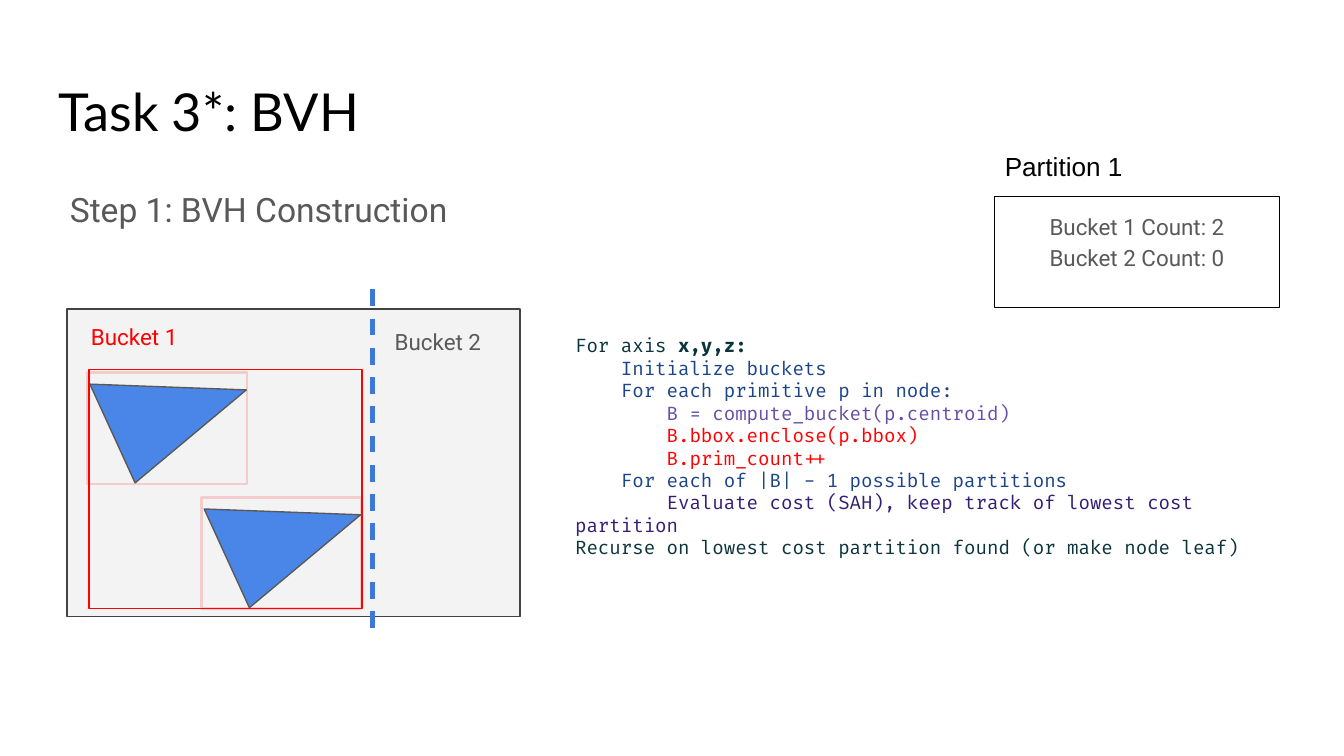
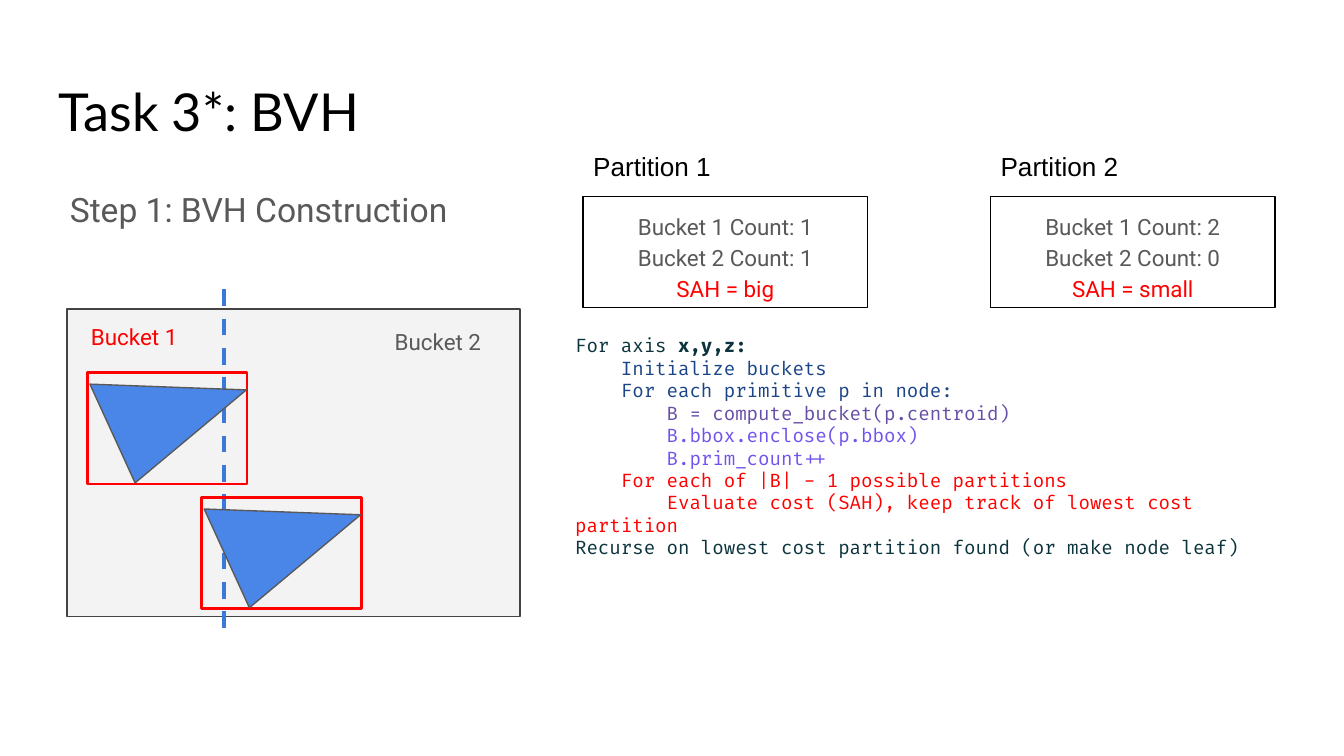
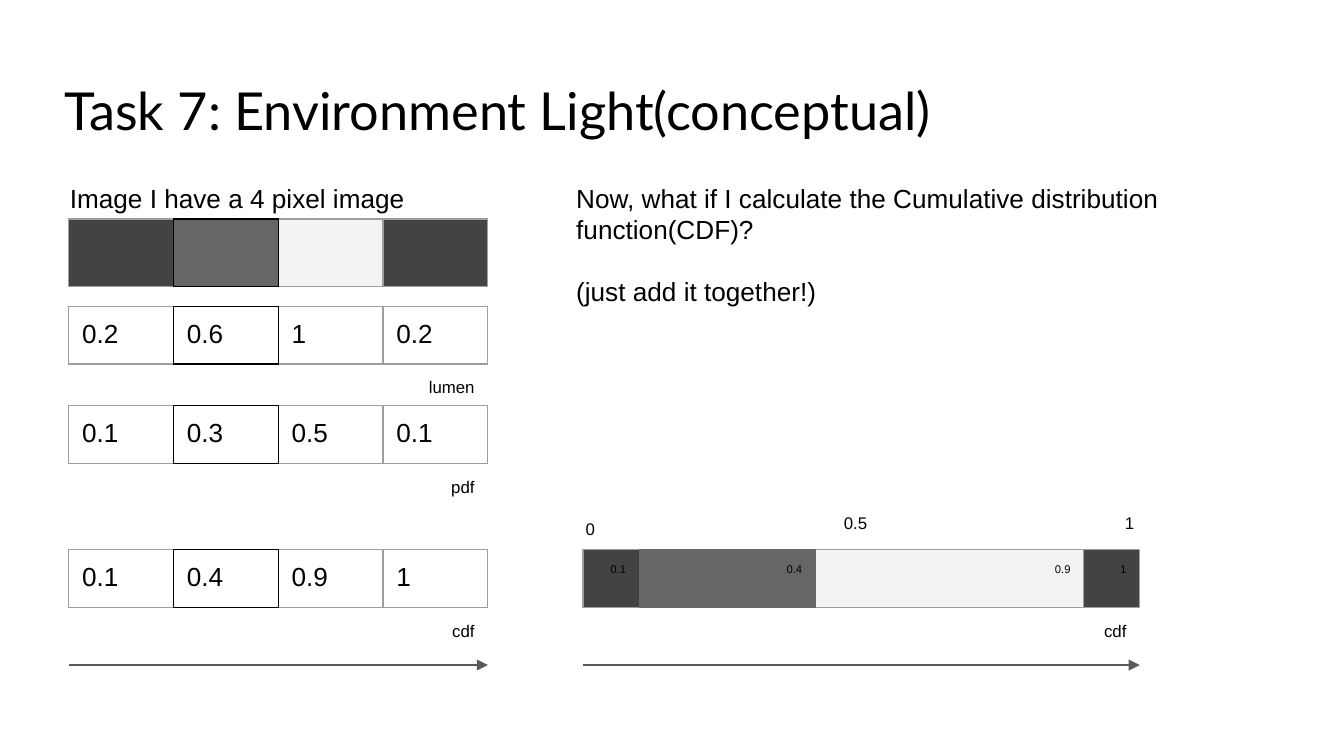
"""Build three lecture slides on BVH construction and environment light sampling."""
from lxml import etree
from pptx import Presentation
from pptx.dml.color import RGBColor
from pptx.enum.dml import MSO_LINE
from pptx.enum.shapes import MSO_CONNECTOR, MSO_SHAPE
from pptx.enum.text import MSO_ANCHOR, MSO_AUTO_SIZE, PP_ALIGN
from pptx.oxml.ns import qn
from pptx.util import Cm, Pt

DASH = MSO_LINE.DASH
STRAIGHT = MSO_CONNECTOR.STRAIGHT
RECTANGLE, TRIANGLE = MSO_SHAPE.RECTANGLE, MSO_SHAPE.ISOSCELES_TRIANGLE
TOP = MSO_ANCHOR.TOP
NO_AUTOFIT = MSO_AUTO_SIZE.NONE
LEFT, CENTER, RIGHT = PP_ALIGN.LEFT, PP_ALIGN.CENTER, PP_ALIGN.RIGHT

COLORS = {
    "black": "000000", "white": "FFFFFF", "text": "595959", "red": "FF0000",
    "pink": "F4CCCC", "dark": "434343", "middle": "666666", "light": "F3F3F3",
    "grid": "9E9E9E", "triangle": "4A86E8", "divider": "3C78D8",
    "code": "0C343D", "loop": "1C4587", "bucket": "674EA7",
    "update": "7253ED", "cost": "351C75",
}
CODE_LINES = [
    ("For axis ", "code"),
    ("    Initialize buckets", "loop"),
    ("    For each primitive p in node:", "loop"),
    ("        B = compute_bucket(p.centroid)", "bucket"),
    ("        B.bbox.enclose(p.bbox)", "update"),
    ("        B.prim_count++", "update"),
    ("    For each of |B| - 1 possible partitions", "loop"),
    ("        Evaluate cost (SAH), keep track of lowest cost partition", "cost"),
    ("Recurse on lowest cost partition found (or make node leaf)", "code"),
]
PIXEL_FILLS = ["dark", "middle", "light", "dark"]
INSET = Cm(0.25)
ROW_HEIGHT = 1.09
TABLE_LEFT = 1.3
CDF_TOP = 10.39
ARROW_TOP = 12.57


def color(name):
    """Return the named colour."""
    return RGBColor.from_string(COLORS[name])


def style_font(font, size, family, color_name):
    """Set the size, family and colour of a font."""
    font.size = Pt(size)
    font.name = family
    font.color.rgb = color(color_name)


def set_margins(box):
    """Give a text frame or a table cell the shared insets."""
    box.margin_left = box.margin_right = INSET
    box.margin_top = box.margin_bottom = INSET


def fill_text(text_frame, lines, size, family="Arial", color_name="black",
              align=LEFT, spacing=1.0):
    """Write lines into a text frame with one common format."""
    text_frame.word_wrap = True
    text_frame.auto_size = NO_AUTOFIT
    text_frame.vertical_anchor = TOP
    set_margins(text_frame)
    text_frame.text = "\n".join(lines)
    for paragraph in text_frame.paragraphs:
        paragraph.alignment = align
        paragraph.line_spacing = spacing
        paragraph.space_before = Pt(0)
        for run in paragraph.runs:
            style_font(run.font, size, family, color_name)


def place(shape, left, top, width, height):
    """Move and size a shape in centimetres."""
    shape.left, shape.top = Cm(left), Cm(top)
    shape.width, shape.height = Cm(width), Cm(height)


def add_text(slide, lines, left, top, width, height, size, **text_format):
    """Add a text box and return its text frame."""
    box = slide.shapes.add_textbox(Cm(left), Cm(top), Cm(width), Cm(height))
    fill_text(box.text_frame, lines, size, **text_format)
    return box.text_frame


def set_title(slide, text, left, top, width):
    """Fill the title placeholder."""
    place(slide.shapes.title, left, top, width, 1.6)
    fill_text(slide.shapes.title.text_frame, [text], 28, "Lato")


def set_subtitle(slide, text):
    """Fill the body placeholder with one line without a bullet."""
    body = slide.placeholders[1]
    place(body, 1.07, 3.2, 10.49, 1.6)
    fill_text(body.text_frame, [text], 18, "Roboto", "text", spacing=1.15)
    properties = body.text_frame.paragraphs[0]._p.get_or_add_pPr()
    properties.set("marL", "0")
    properties.set("indent", "0")
    etree.SubElement(properties, qn("a:buNone"))


def add_shape(slide, kind, left, top, width, height, line, weight=0.75, fill=None):
    """Add an outlined shape, filled when a colour is given."""
    shape = slide.shapes.add_shape(kind, Cm(left), Cm(top), Cm(width), Cm(height))
    shape.shadow.inherit = False
    shape.line.color.rgb = color(line)
    shape.line.width = Pt(weight)
    if fill:
        shape.fill.solid()
        shape.fill.fore_color.rgb = color(fill)
    else:
        shape.fill.background()
    return shape


def add_line(slide, start, end, color_name, weight):
    """Add a straight line without a shadow."""
    line = slide.shapes.add_connector(STRAIGHT, *map(Cm, start + end))
    line.line.color.rgb = color(color_name)
    line.line.width = Pt(weight)
    etree.SubElement(line._element.spPr, qn("a:effectLst"))
    return line


def add_arrow(slide, left, right):
    """Add a horizontal arrow below a table."""
    arrow = add_line(slide, (left, ARROW_TOP), (right, ARROW_TOP), "text", 0.75)
    outline = arrow._element.spPr.find(qn("a:ln"))
    etree.SubElement(outline, qn("a:tailEnd"), type="triangle")


def add_code(slide, highlighted):
    """Add the pseudocode with the highlighted lines in red."""
    frame = add_text(slide, [text for text, _ in CODE_LINES],
                     10.62, 6.07, 14.27, 4.65, 10, family="Fira Code")
    for index, (_, name) in enumerate(CODE_LINES):
        run = frame.paragraphs[index].runs[0]
        run.font.color.rgb = color("red" if index in highlighted else name)
    axes = frame.paragraphs[0].add_run()
    axes.text = "x,y,z:"
    style_font(axes.font, 10, "Fira Code", "code")
    axes.font.bold = True


def add_primitive(slide, left, top, outline):
    """Add a triangle inside its bounding box."""
    add_shape(slide, RECTANGLE, left, top, 3.02, 2.11, outline, 1.5)
    triangle = add_shape(slide, TRIANGLE, left - 0.05, top - 0.54, 2.74, 1.98,
                         "text", fill="triangle")
    triangle.adjustments[0] = 0.198
    triangle.rotation = 320.1


def add_node(slide, divider_left, outline):
    """Add the node with its divider, primitives and bucket labels."""
    add_shape(slide, RECTANGLE, 1.27, 5.84, 8.56, 5.82, "dark", fill="light")
    divider = add_line(slide, (divider_left, 5.47), (divider_left, 12.07), "divider", 2.25)
    divider.line.dash_style = DASH
    for left, top in ((1.65, 7.04), (3.81, 9.4)):
        add_primitive(slide, left, top, outline)
    for text, left, top, name in (("Bucket 1", 1.47, 5.79, "red"),
                                  ("Bucket 2", 7.21, 5.87, "text")):
        add_text(slide, [text], left, top, 2.39, 0.97, 12,
                 family="Roboto", color_name=name, spacing=1.15)


def add_partition(slide, number, left, counts, cost=None):
    """Add a partition box with its bucket counts and optional cost."""
    add_text(slide, [f"Partition {number}"], left - 0.06, 2.59, 4.42, 1.12, 14)
    box = add_shape(slide, RECTANGLE, left, 3.71, 5.38, 2.11, "black")
    lines = [f"Bucket {bucket} Count: {count}" for bucket, count in enumerate(counts, 1)]
    if cost:
        lines.append(f"SAH = {cost}")
    fill_text(box.text_frame, lines, 12, "Roboto", "text", CENTER, 1.15)
    if cost:
        box.text_frame.paragraphs[-1].runs[0].font.color.rgb = color("red")


def set_borders(cell, column, accent):
    """Draw cell borders, with the accent colour around the second column."""
    accented = {"L": (1, 2), "R": (0, 1), "T": (1,), "B": (1,)}
    for side, columns in accented.items():
        name = accent if column in columns else "grid"
        border = etree.SubElement(cell._tc.get_or_add_tcPr(), qn(f"a:ln{side}"), w="9525")
        fill = etree.SubElement(border, qn("a:solidFill"))
        etree.SubElement(fill, qn("a:srgbClr"), val=COLORS[name])


def add_row_table(slide, left, top, widths, values, fills, accent="black",
                  size=14, align=LEFT):
    """Add a table of one row."""
    frame = slide.shapes.add_table(1, len(widths), Cm(left), Cm(top),
                                   Cm(sum(widths)), Cm(ROW_HEIGHT))
    table = frame.table
    table.first_row = table.horz_banding = False
    table.rows[0].height = Cm(ROW_HEIGHT)
    for column, width in enumerate(widths):
        table.columns[column].width = Cm(width)
        cell = table.cell(0, column)
        set_margins(cell)
        set_borders(cell, column, accent)
        cell.fill.solid()
        cell.fill.fore_color.rgb = color(fills[column])
        if values:
            cell.text_frame.text = values[column]
            paragraph = cell.text_frame.paragraphs[0]
            paragraph.alignment = align
            style_font(paragraph.runs[0].font, size, "Arial", "black")


def add_caption(slide, text, right, table_top):
    """Add a right-aligned caption below a table."""
    add_text(slide, [text], right - 2.13, table_top + ROW_HEIGHT, 2.13, 0.89, 9, align=RIGHT)


def add_bvh_slide(presentation, highlighted, divider_left, outline):
    """Add a BVH construction slide and return it."""
    slide = presentation.slides.add_slide(presentation.slide_layouts[1])
    set_title(slide, "Task 3*: BVH", 0.86, 1.24, 8.56)
    set_subtitle(slide, "Step 1: BVH Construction")
    add_code(slide, highlighted)
    add_node(slide, divider_left, outline)
    return slide


def add_light_slide(presentation):
    """Add the environment light slide."""
    slide = presentation.slides.add_slide(presentation.slide_layouts[5])
    set_title(slide, "Task 7: Environment Light(conceptual)", 0.97, 1.22, 23.67)

    widths = [1.98] * 4
    right = TABLE_LEFT + sum(widths)
    add_row_table(slide, TABLE_LEFT, 4.14, widths, None, PIXEL_FILLS)
    add_text(slide, ["Image I have a 4 pixel image"], 1.07, 3.2, 8.51, 1.12, 14)
    for caption, top, values in (("lumen", 5.79, ["0.2", "0.6", "1", "0.2"]),
                                 ("pdf", 7.67, ["0.1", "0.3", "0.5", "0.1"]),
                                 ("cdf", CDF_TOP, ["0.1", "0.4", "0.9", "1"])):
        add_row_table(slide, TABLE_LEFT, top, widths, values, ["white"] * 4)
        add_caption(slide, caption, right, top)
    add_arrow(slide, TABLE_LEFT, right)

    question = add_text(slide, [
        "Now, what if I calculate the Cumulative distribution function(CDF)?",
        "(just add it together!)",
    ], 10.64, 3.2, 11.53, 2.9, 14)
    question.paragraphs[1].space_before = Pt(16)

    cdf_left, cdf_widths = 11.02, [1.06, 3.33, 5.07, 1.06]
    cdf_right = cdf_left + sum(cdf_widths)
    add_row_table(slide, cdf_left, CDF_TOP, cdf_widths, ["0.1", "0.4", "0.9", "1"],
                  PIXEL_FILLS, "middle", 6, RIGHT)
    add_caption(slide, "cdf", cdf_right, CDF_TOP)
    add_arrow(slide, cdf_left, cdf_right)
    for text, left, top in (("0", 10.82, 9.55), ("0.5", 15.7, 9.45), ("1", 21.01, 9.45)):
        add_text(slide, [text], left, top, 0.99, 0.89, 9)


def main():
    """Build and save the presentation."""
    presentation = Presentation()
    presentation.slide_width, presentation.slide_height = Cm(25.4), Cm(14.29)

    slide = add_bvh_slide(presentation, (4, 5), 7.04, "pink")
    add_shape(slide, RECTANGLE, 1.68, 6.98, 5.16, 4.52, "red")
    add_partition(slide, 1, 18.8, (2, 0))

    slide = add_bvh_slide(presentation, (6, 7), 4.24, "red")
    add_partition(slide, 1, 11.02, (1, 1), "big")
    add_partition(slide, 2, 18.72, (2, 0), "small")

    add_light_slide(presentation)
    presentation.save("out.pptx")


if __name__ == "__main__":
    main()
